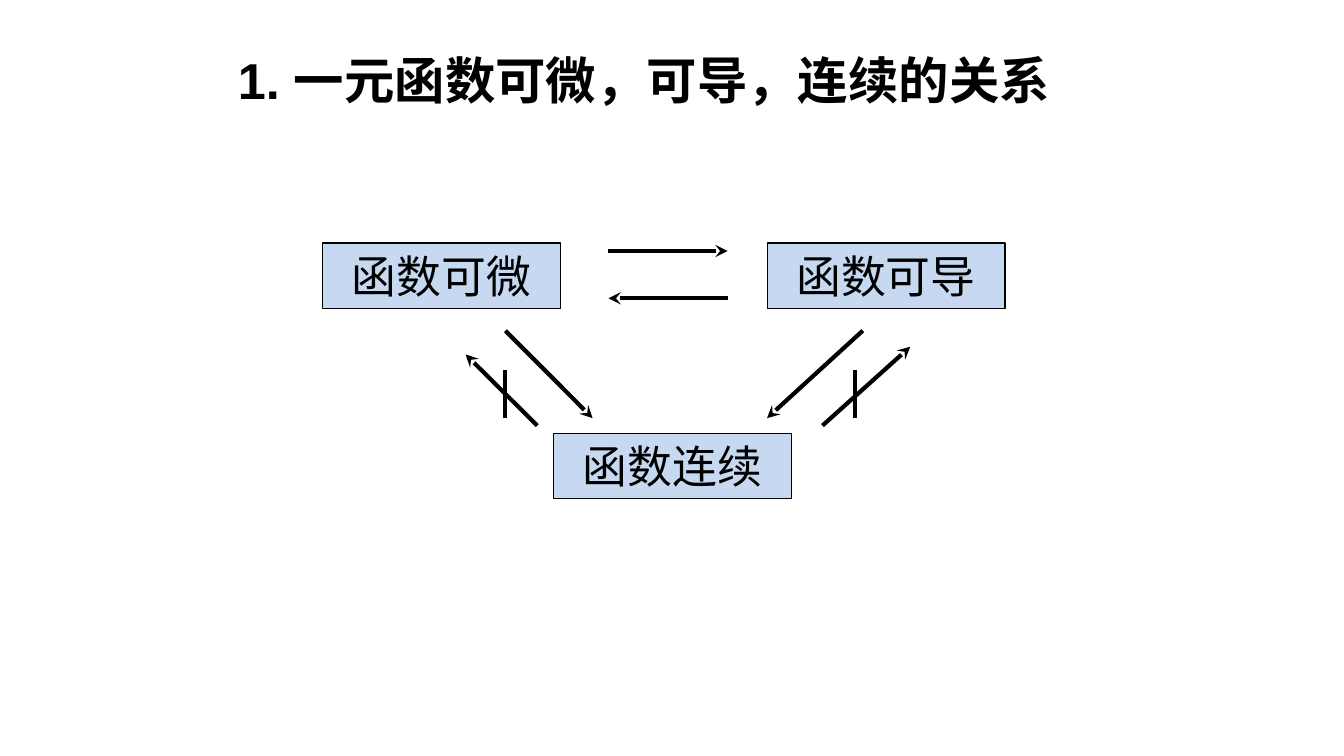
from lxml import etree
from pptx import Presentation
from pptx import util as u
from pptx.dml.color import RGBColor
from pptx.enum import shapes, text
from pptx.oxml import ns

TITLE = "1. 一元函数可微，可导，连续的关系"
BLACK, PALE_BLUE = "000000", "C6D9F1"
BOX_WIDTH, BOX_HEIGHT = 170, 46.5
BOXES = [  # wording, left, top
    ("函数可微", 230.3, 173.6),
    ("函数可导", 547.9, 173.6),
    ("函数连续", 395.3, 309.5),
]
IMPLICATIONS = [  # start x, start y, end x, end y
    (361, 236.2, 423.3, 298.7),
    (616.3, 236.2, 547.9, 298.7),
    (434.6, 179.3, 519.8, 179.3),
    (519.8, 213.1, 434.6, 213.1),
]
FAILED_IMPLICATIONS = [  # arrow ends, then x of the strike
    ((383.8, 304, 332.6, 253.2), 361),
    ((587.5, 304, 650.2, 247.7), 610.6),
]
STRIKE_TOP, STRIKE_BOTTOM = 264.3, 298.7


def colour(value):
    return RGBColor.from_string(value)


def style_text(frame, size, align, bold=False):
    frame.word_wrap = True
    frame.vertical_anchor = text.MSO_ANCHOR.MIDDLE
    para = frame.paragraphs[0]
    para.alignment = align
    para.font.name = "Arial"
    para.font.size = u.Pt(size)
    para.font.bold = bold
    para.font.color.rgb = colour(BLACK)


def add_box(slide, wording, left, top):
    box = slide.shapes.add_shape(
        shapes.MSO_SHAPE.RECTANGLE,
        u.Pt(left), u.Pt(top), u.Pt(BOX_WIDTH), u.Pt(BOX_HEIGHT))
    box.shadow.inherit = False
    box.fill.solid()
    box.fill.fore_color.rgb = colour(PALE_BLUE)
    box.line.color.rgb = colour(BLACK)
    box.line.width = u.Pt(0.75)
    box.text_frame.text = wording
    style_text(box.text_frame, 32, text.PP_ALIGN.CENTER)


def add_line(parent, ends, arrow=True):
    line = parent.shapes.add_connector(
        shapes.MSO_CONNECTOR.STRAIGHT, *(u.Pt(end) for end in ends))
    line.line.color.rgb = colour(BLACK)
    line.line.width = u.Pt(3)
    if arrow:
        outline = line.line._get_or_add_ln()
        etree.SubElement(outline, ns.qn("a:tailEnd"), type="stealth")
    etree.SubElement(line._element.spPr, ns.qn("a:effectLst"))


def main():
    deck = Presentation()
    deck.slide_width, deck.slide_height = u.Pt(960), u.Pt(540)
    slide = deck.slides.add_slide(deck.slide_layouts[5])

    title = slide.shapes.title
    title.left, title.top = u.Pt(162.7), u.Pt(31.7)
    title.width, title.height = u.Pt(635), u.Pt(50.4)
    title.text_frame.text = TITLE
    title.text_frame.auto_size = text.MSO_AUTO_SIZE.NONE
    style_text(title.text_frame, 36, text.PP_ALIGN.LEFT, bold=True)

    for wording, left, top in BOXES:
        add_box(slide, wording, left, top)
    for ends in IMPLICATIONS:
        add_line(slide, ends)
    for ends, strike in FAILED_IMPLICATIONS:
        group = slide.shapes.add_group_shape()
        add_line(group, ends)
        add_line(group, (strike, STRIKE_TOP, strike, STRIKE_BOTTOM), arrow=False)

    deck.save("out.pptx")


if __name__ == "__main__":
    main()
